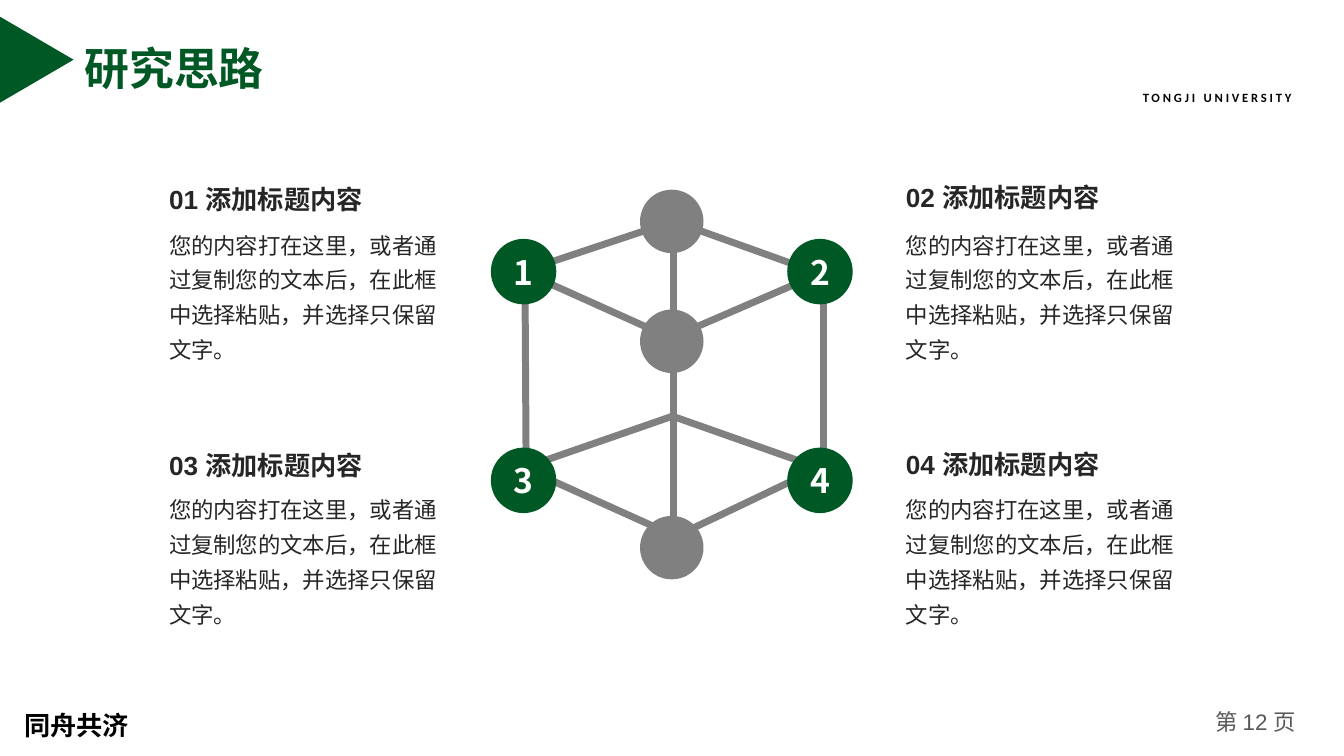
"""Build the research approach slide with its linked cube of four steps."""
import pptx
import pptx.dml.color
import pptx.enum.shapes
import pptx.enum.text
import pptx.oxml.ns
import pptx.util
from lxml import etree

Cm, Pt = pptx.util.Cm, pptx.util.Pt
SHAPE = pptx.enum.shapes.MSO_SHAPE
ALIGN = pptx.enum.text.PP_ALIGN
qn = pptx.oxml.ns.qn

GREEN, GREY, DARK = "005825", "808080", "262626"
NOTO = "Noto Sans CJK SC"
BODY = "您的内容打在这里，或者通过复制您的文本后，在此框中选择粘贴，并选择只保留文字。"
HEAD = "添加标题内容"
LEFT, RIGHT = 4.01, 22.58
STEPS = [
    ("1", 12.37, 6.02, LEFT, 4.5, 5.51),
    ("2", 19.84, 6.02, RIGHT, 4.45, 5.51),
    ("3", 12.37, 11.28, LEFT, 11.2, 12.17),
    ("4", 19.84, 11.28, RIGHT, 11.18, 12.17),
]
HUBS = [4.78, 7.8, 13]
EDGES = [
    (16.92, 5.59, 13.11, 6.86),
    (20.29, 11.96, 17.25, 13.41),
    (16.94, 10.49, 13.51, 11.68),
    (20.32, 7.04, 16.92, 8.51),
    (16.64, 13.34, 13.69, 12.01),
    (20.47, 11.73, 16.87, 10.46),
    (20.62, 6.88, 17.02, 5.59),
    (16.71, 8.43, 13.44, 6.96),
    (13.23, 7.04, 13.26, 11.91),
    (20.75, 7.04, 20.75, 11.91),
    (16.97, 5.94, 16.97, 13.46),
]


def paint(item, color):
    rgb = pptx.dml.color.RGBColor.from_string(color)
    if hasattr(item, "solid"):
        item.solid()
        item.fore_color.rgb = rgb
    else:
        item.color.rgb = rgb


def style(frame, size, color, bold=False, font=NOTO, gap=0):
    for run in frame.paragraphs[0].runs:
        run.font.size = Pt(size)
        run.font.bold = bold
        run.font.name = font
        paint(run.font, color)
        props = run.font.fill._xPr
        etree.SubElement(props, qn("a:ea")).set("typeface", NOTO)
        if gap:
            props.set("spc", str(gap * 100))


def write(slide, text, box, size, color, bold=False, font=NOTO,
          align=ALIGN.LEFT, lines=None, wrap=True, gap=0):
    frame = slide.shapes.add_textbox(*map(Cm, box)).text_frame
    frame.word_wrap = wrap
    frame.text = text
    para = frame.paragraphs[0]
    para.alignment = align
    if lines:
        para.line_spacing = lines
    style(frame, size, color, bold, font, gap)
    return frame


def solid(slide, kind, box, color):
    shape = slide.shapes.add_shape(kind, *map(Cm, box))
    shape.shadow.inherit = False
    paint(shape.fill, color)
    shape.line.fill.background()
    return shape


def link(slide, ends):
    line = slide.shapes.add_connector(
        pptx.enum.shapes.MSO_CONNECTOR.STRAIGHT, *map(Cm, ends))
    line.line.width = Pt(5)
    paint(line.line, GREY)
    etree.SubElement(line._element.spPr, qn("a:effectLst"))


def main():
    deck = pptx.Presentation()
    deck.slide_width, deck.slide_height = Cm(33.87), Cm(19.05)
    slide = deck.slides.add_slide(deck.slide_layouts[6])

    write(slide, "第 12 页", (30.12, 17.73, 3.05, 1.02), 16, "595959",
          font="Arial", align=ALIGN.CENTER)
    write(slide, "TONGJI UNIVERSITY", (28.55, 2.13, 4.88, 0.61), 9, "000000",
          True, "Calibri", ALIGN.JUSTIFY, gap=2)
    write(slide, "同舟共济", (0.36, 17.35, 3.48, 1.35), 18.7, "000000", True,
          lines=1.5)

    for ends in EDGES:
        link(slide, ends)
    for top in HUBS:
        solid(slide, SHAPE.OVAL, (16.13, top, 1.6, 1.6), GREY)
    for num, x, y, left, top, low in STEPS:
        dot = solid(slide, SHAPE.OVAL, (x, y, 1.65, 1.65), GREEN)
        frame = dot.text_frame
        frame.word_wrap = False
        frame.text = num
        frame.vertical_anchor = pptx.enum.text.MSO_ANCHOR.MIDDLE
        frame.paragraphs[0].alignment = ALIGN.CENTER
        style(frame, 24, "FFFFFF", True)
        write(slide, f"0{num} {HEAD}", (left, top, 7.44, 1.07), 18.7, DARK,
              True, "Arial")
        write(slide, BODY, (left, low, 7.44, 3.73), 16, DARK, lines=1.3)

    title = write(slide, "研究思路", (1.8, 0.84, 5.23, 1.7), 32, GREEN, True,
                  "Arial", wrap=False)
    title.margin_left = title.margin_right = Cm(0.33)
    title.margin_top = title.margin_bottom = Cm(0.18)
    mark = solid(slide, SHAPE.ISOSCELES_TRIANGLE, (-0.15, 0.58, 2.16, 1.85),
                 GREEN)
    mark.rotation = 90
    deck.save("out.pptx")


if __name__ == "__main__":
    main()
